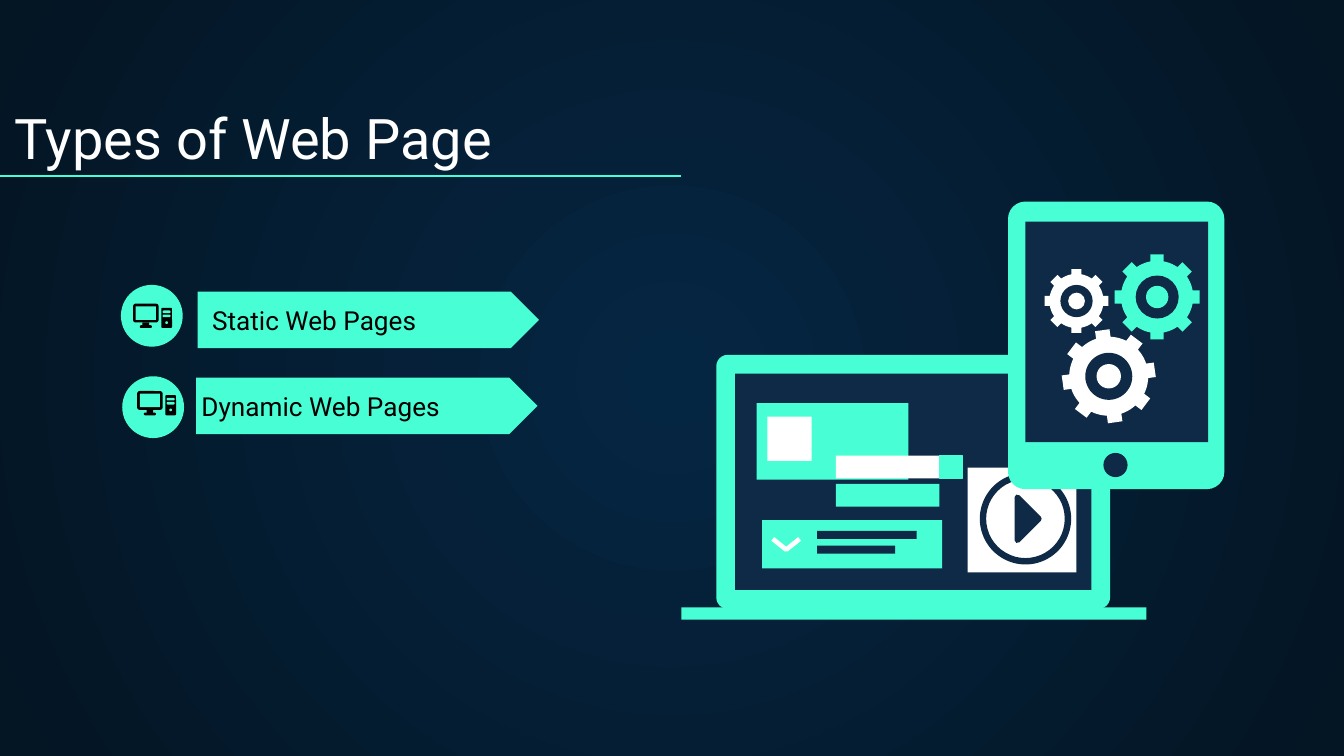
import math

import pptx
import pptx.dml.color
import pptx.enum.shapes
import pptx.enum.text
import pptx.util
from lxml import etree
from pptx.oxml.ns import qn
from pptx.util import Inches

COLORS = {
    "mint": "48FFD5",
    "navy": "0E2A47",
    "white": "FFFFFF",
    "black": "000000",
    "glow": "052643",
    "night": "041523",
}
SHAPE = pptx.enum.shapes.MSO_SHAPE


def rgb(name):
    return pptx.dml.color.RGBColor.from_string(COLORS[name])


def paint(shape, fill=None, line=None, width=0.75):
    shape.shadow.inherit = False
    if fill:
        shape.fill.solid()
        shape.fill.fore_color.rgb = rgb(fill)
    else:
        shape.fill.background()
    if line:
        shape.line.color.rgb = rgb(line)
        shape.line.width = pptx.util.Pt(width)
    else:
        shape.line.fill.background()


def add_block(slide, box, fill, kind=SHAPE.RECTANGLE, adjust=None, line=None):
    block = slide.shapes.add_shape(kind, *map(Inches, box))
    if adjust is not None:
        block.adjustments[0] = adjust
    paint(block, fill, line)


def add_disc(slide, center, radius, fill, kind=SHAPE.OVAL, adjust=None):
    x, y = center
    box = (x - radius, y - radius, 2 * radius, 2 * radius)
    add_block(slide, box, fill, kind, adjust)


def add_outline(slide, points, fill=None, line=None, width=0.75, close=True):
    corners = [(Inches(x), Inches(y)) for x, y in points]
    builder = slide.shapes.build_freeform(*corners[0], scale=1.0)
    builder.add_line_segments(corners[1:], close=close)
    paint(builder.convert_to_shape(), fill, line, width)


def add_text(slide, text, box, size, color, font="Roboto"):
    frame = slide.shapes.add_textbox(*map(Inches, box)).text_frame
    frame.word_wrap = True
    frame.auto_size = pptx.enum.text.MSO_AUTO_SIZE.NONE
    frame.vertical_anchor = pptx.enum.text.MSO_ANCHOR.BOTTOM
    frame.margin_left = frame.margin_right = Inches(0.1)
    frame.margin_top = frame.margin_bottom = Inches(0.1)
    run = frame.paragraphs[0].add_run()
    run.text = text
    run.font.name = font
    run.font.size = pptx.util.Pt(size)
    run.font.color.rgb = rgb(color)


def add_rule(slide, start, end, color):
    rule = slide.shapes.add_connector(
        pptx.enum.shapes.MSO_CONNECTOR.STRAIGHT, *map(Inches, start + end))
    rule.line.color.rgb = rgb(color)
    rule.line.width = pptx.util.Pt(0.75)
    etree.SubElement(rule._element.spPr, qn("a:effectLst"))


def set_background(slide):
    """Radial gradient spreading from the middle of the slide."""
    fill = slide.background.fill
    fill.gradient()
    for stop, color in zip(fill.gradient_stops, ("glow", "night")):
        stop.color.rgb = rgb(color)
    linear = slide.background._cSld.find(".//" + qn("a:lin"))
    radial = etree.Element(qn("a:path"), path="circle")
    etree.SubElement(radial, qn("a:fillToRect"),
                     {side: "50000" for side in "ltrb"})
    linear.getparent().replace(linear, radial)


def add_gear(slide, center, radius, color, turn=0, teeth=8):
    """Toothed wheel with a navy ring around its hub; turn is in degrees."""
    body, half_tooth = 0.84 * radius, 0.155 * radius
    pitch = 2 * math.pi / teeth
    foot, tip = math.asin(half_tooth / body), math.asin(half_tooth / radius)
    profile = [(body, -foot), (radius, -tip), (radius, tip), (body, foot)]
    gap = pitch - 2 * foot
    profile += [(body, foot + gap * step / 5) for step in range(1, 5)]
    points = []
    for tooth in range(teeth):
        base = math.radians(turn - 90) + tooth * pitch
        points += [(center[0] + r * math.cos(base + a),
                    center[1] + r * math.sin(base + a)) for r, a in profile]
    add_outline(slide, points, color)
    add_disc(slide, center, 0.5 * radius, "navy")
    add_disc(slide, center, 0.26 * radius, color)


def add_computer_icon(slide, left, top):
    parts = [
        ((0, 0, 0.19, 0.14), "black", 0.14),         # monitor
        ((0.02, 0.02, 0.15, 0.1), "mint", 0),        # screen
        ((0.07, 0.14, 0.05, 0.03), "black", 0),      # stand
        ((0.05, 0.16, 0.09, 0.02), "black", 0.5),    # foot
        ((0.21, 0.03, 0.08, 0.15), "black", 0.12),   # tower
        ((0.22, 0.05, 0.06, 0.02), "mint", 0.5),     # upper drive
        ((0.22, 0.08, 0.06, 0.02), "mint", 0.5),     # lower drive
        ((0.24, 0.13, 0.02, 0.02), "mint", 0.5),     # power button
    ]
    for (x, y, width, height), color, corner in parts:
        add_block(slide, (left + x, top + y, width, height), color,
                  SHAPE.ROUNDED_RECTANGLE, corner)


def add_page_type(slide, label, label_box, arrow_at, disc_center, icon_at):
    add_disc(slide, disc_center, 0.23, "mint")
    add_block(slide, (*arrow_at, 2.54, 0.42), "mint", SHAPE.PENTAGON, 0.5)
    add_text(slide, label, label_box, 14, "black")
    add_computer_icon(slide, *icon_at)


def add_laptop(slide):
    add_block(slide, (5.33, 2.64, 2.93, 1.89), "mint",
              SHAPE.ROUNDED_RECTANGLE, 0.045)
    page_parts = [
        ((5.47, 2.78, 2.65, 1.61), "navy"),   # screen
        ((5.07, 4.52, 3.46, 0.09), "mint"),   # base
        ((5.63, 3, 1.13, 0.57), "mint"),      # banner
        ((5.71, 3.1, 0.33, 0.33), "white"),   # thumbnail
        ((5.67, 3.87, 1.34, 0.36), "mint"),   # drop-down
        ((6.08, 3.95, 0.74, 0.06), "navy"),   # long text line
        ((6.08, 4.06, 0.58, 0.06), "navy"),   # short text line
        ((6.22, 3.6, 0.77, 0.17), "mint"),    # button
        ((6.22, 3.39, 0.77, 0.17), "white"),  # search field
        ((7.2, 3.48, 0.81, 0.78), "white"),   # video
    ]
    for box, color in page_parts:
        add_block(slide, box, color)
    add_block(slide, (6.99, 3.39, 0.17, 0.17), "mint", line="mint")
    add_outline(slide, [(5.75, 4.01), (5.85, 4.09), (5.95, 4.01)],
                line="white", width=2.5, close=False)
    add_disc(slide, (7.63, 3.86), 0.34, "navy", SHAPE.DONUT, 0.07)
    add_outline(slide, [(7.57, 3.7), (7.57, 4.02), (7.73, 3.86)],
                "navy", line="navy", width=3)


def add_tablet(slide):
    add_block(slide, (7.5, 1.5, 1.61, 2.14), "mint",
              SHAPE.ROUNDED_RECTANGLE, 0.08)
    add_block(slide, (7.63, 1.65, 1.36, 1.64), "navy")
    add_disc(slide, (8.3, 3.46), 0.09, "navy")
    add_gear(slide, (8.61, 2.21), 0.32, "mint")
    add_gear(slide, (8.01, 2.24), 0.24, "white")
    add_gear(slide, (8.25, 2.8), 0.35, "white", turn=-8)


def main():
    deck = pptx.Presentation()
    deck.slide_width = Inches(10)
    deck.slide_height = deck.slide_width * 9 // 16
    slide = deck.slides.add_slide(deck.slide_layouts[6])
    set_background(slide)
    add_text(slide, "Types of Web Page", (0.01, 0.71, 8.57, 0.66), 30, "white")
    add_rule(slide, (0, 1.31), (5.07, 1.31), "mint")
    add_page_type(slide, "Static Web Pages", (1.48, 2.39, 2.27, 0.21),
                  (1.47, 2.17), (1.13, 2.35), (0.99, 2.26))
    add_page_type(slide, "Dynamic Web Pages", (1.4, 2.82, 2.77, 0.42),
                  (1.46, 2.81), (1.14, 3.03), (1.02, 2.91))
    add_laptop(slide)
    add_tablet(slide)
    deck.save("out.pptx")


if __name__ == "__main__":
    main()
